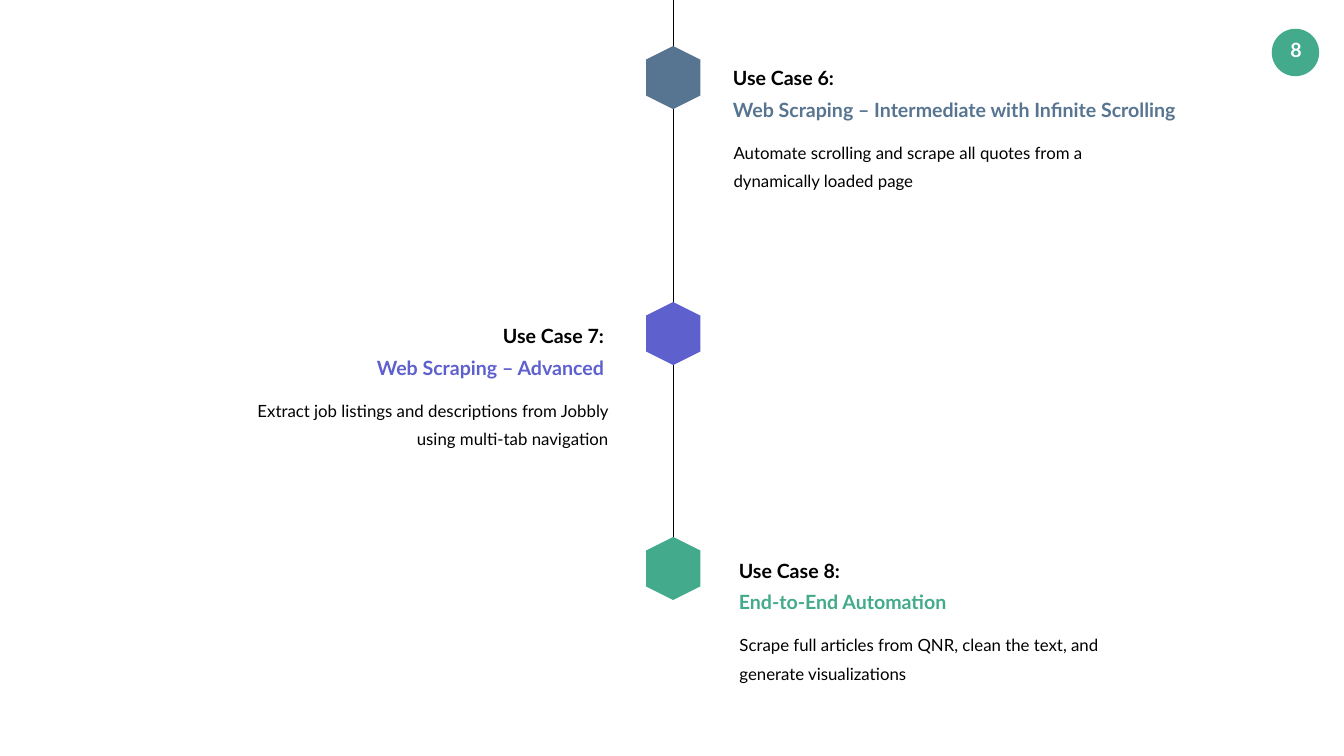
from dataclasses import dataclass

from pptx import Presentation
from pptx.dml.color import RGBColor
from pptx.enum.shapes import MSO_CONNECTOR, MSO_SHAPE
from pptx.enum.text import MSO_ANCHOR, MSO_AUTO_SIZE, PP_ALIGN
from pptx.oxml.ns import qn
from pptx.util import Cm, Pt
from lxml import etree


@dataclass(frozen=True)
class Theme:
    font: str = "Lato"
    black: str = "000000"
    white: str = "FFFFFF"
    slate: str = "577590"
    violet: str = "5E60CE"
    green: str = "43AA8B"
    heading: int = 28
    body: int = 24
    leading: float = 40.4


theme = Theme()


def add_text(text, box, size, color, align, bold=True, wrap=False,
             anchor=MSO_ANCHOR.MIDDLE, inset=(0.25, 0.13)):
    """Add a one-paragraph text box; box and inset are in centimetres."""
    tf = s.shapes.add_textbox(*map(Cm, box)).text_frame
    tf.word_wrap = wrap
    tf.auto_size = MSO_AUTO_SIZE.SHAPE_TO_FIT_TEXT
    tf.vertical_anchor = anchor
    tf.margin_left = tf.margin_right = Cm(inset[0])
    tf.margin_top = tf.margin_bottom = Cm(inset[1])
    tf.text = text
    p = tf.paragraphs[0]
    p.alignment = align
    font = p.runs[0].font
    font.name, font.size, font.bold = theme.font, Pt(size), bold
    font.color.rgb = RGBColor.from_string(color)
    return p


def add_filled(preset, box, color):
    """Add a plain filled shape without outline; box is in centimetres."""
    sp = s.shapes.add_shape(preset, *map(Cm, box))
    sp.shadow.inherit = False
    sp.fill.solid()
    sp.fill.fore_color.rgb = RGBColor.from_string(color)
    sp.line.fill.background()
    return sp


prs = Presentation()
prs.slide_width, prs.slide_height = Cm(67.72), Cm(38.1)
s = prs.slides.add_slide(prs.slide_layouts[6])

# Page number badge
add_filled(MSO_SHAPE.OVAL, (64.08, 1.45, 2.39, 2.39), theme.green)
add_text("8", (64.19, 1.68, 2.24, 1.7), theme.heading, theme.white,
         PP_ALIGN.CENTER, anchor=MSO_ANCHOR.TOP, inset=(0.5, 0.25))

# Use cases: number, title, description, colour, hexagon centre,
# heading top, title width, side of the timeline, heading edge facing it
use_cases = [
    (6, "Web Scraping – Intermediate with Infinite Scrolling",
     "Automate scrolling and scrape all quotes from a dynamically loaded page",
     theme.slate, 3.91, 3.2, 23.37, "right", 36.68),
    (7, "Web Scraping – Advanced",
     "Extract job listings and descriptions from Jobbly using multi-tab navigation",
     theme.violet, 16.81, 16.21, 12.5, "left", 30.68),
    (8, "End-to-End Automation",
     "Scrape full articles from QNR, clean the text, and generate visualizations",
     theme.green, 28.65, 28.02, 11.46, "right", 36.98),
]

# Timeline, ending at the last hexagon
axis_x = 33.92
line = s.shapes.add_connector(MSO_CONNECTOR.STRAIGHT, Cm(axis_x), Cm(0),
                              Cm(axis_x), Cm(use_cases[-1][4]))
line.line.width = Pt(0.5)
line.line.color.rgb = RGBColor.from_string(theme.black)
etree.SubElement(line._element.spPr, qn("a:effectLst"))

# Hexagons with their texts
hex_w, hex_h = 3.18, 2.74
label_w, label_h = 5.69, 1.45
body_w, body_h = 19.71, 3.28
title_drop, body_drop = 1.59, 3.28

for number, title, body, color, center_y, top, title_w, side, edge in use_cases:
    sp = add_filled(MSO_SHAPE.HEXAGON,
                    (axis_x - hex_w / 2, center_y - hex_h / 2, hex_w, hex_h), color)
    sp.rotation = 90

    on_left = side == "left"
    align = PP_ALIGN.RIGHT if on_left else PP_ALIGN.LEFT
    headings = [(f"Use Case {number}:", label_w, top, theme.black),
                (title, title_w, top + title_drop, color)]
    for text, width, y, text_color in headings:
        x = edge - width if on_left else edge
        add_text(text, (x, y, width, label_h), theme.heading, text_color, align)

    x = edge + 0.58 - body_w if on_left else edge - 0.33
    p = add_text(body, (x, top + body_drop, body_w, body_h), theme.body,
                 theme.black, align, bold=False, wrap=True,
                 anchor=MSO_ANCHOR.TOP, inset=(0.61, 0.3))
    p.line_spacing = Pt(theme.leading)

prs.save("out.pptx")
